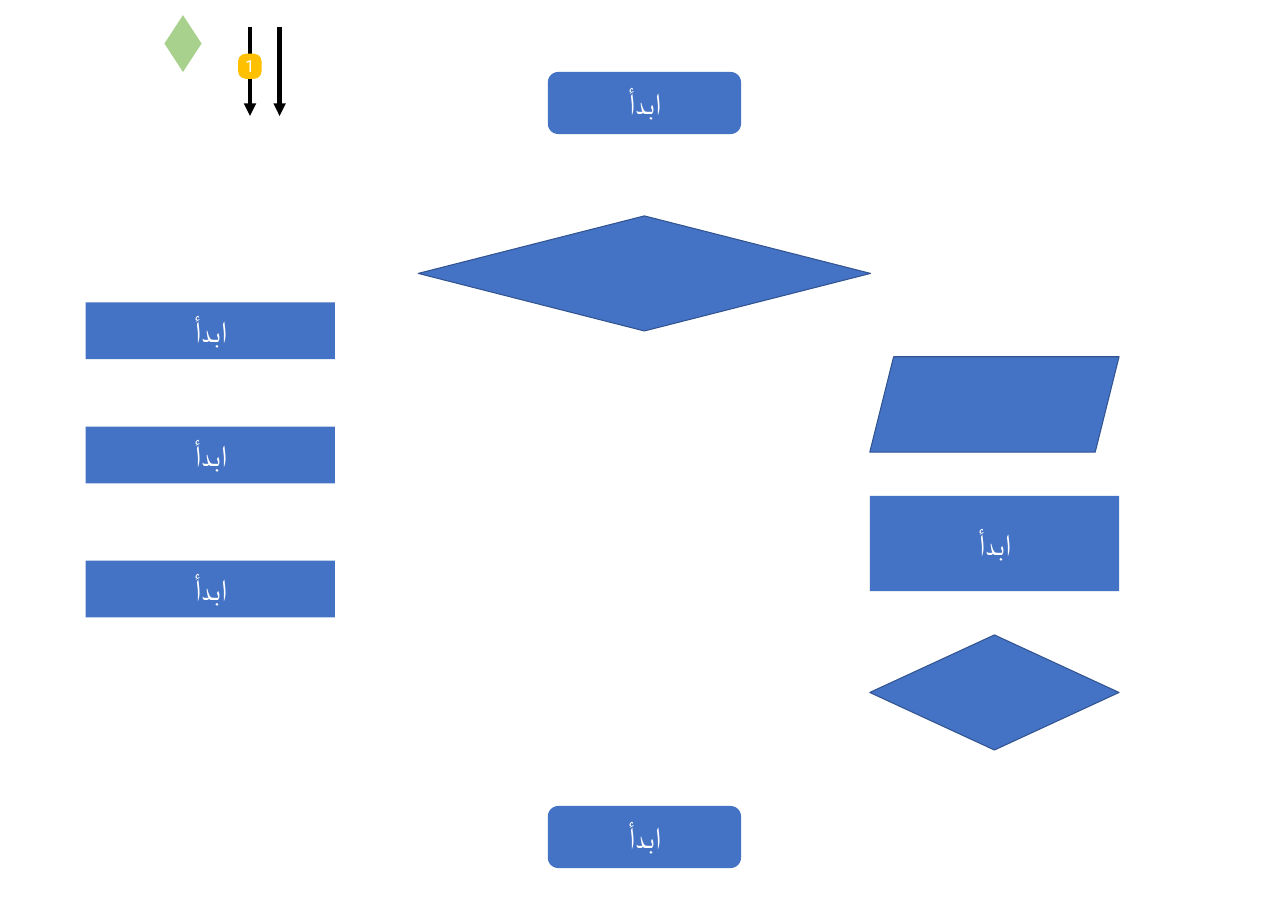
"""Build a flowchart template slide with Arabic step labels and a small symbol key."""
from pptx import Presentation
from pptx.dml.color import RGBColor
from pptx.enum.shapes import MSO_CONNECTOR, MSO_SHAPE
from pptx.enum.text import MSO_ANCHOR, PP_ALIGN
from pptx.oxml.ns import qn
from pptx.util import Pt
from lxml.etree import SubElement

COLORS = {
    "step": "4472C4",
    "outline": "325491",
    "key": "A9D18E",
    "badge": "FFC000",
    "arrow": "000000",
    "text": "FFFFFF",
}
FONT = "Roboto"
LABEL = "ابدأ"
SLIDE_WIDTH, SLIDE_HEIGHT = 1224, 864

CENTER_X, LEFT_X, RIGHT_X = 612.4, 199.8, 945
COLUMN_WIDTH = 236.9
DIAMOND_HEIGHT = 109.4

TERMINAL_TOPS = [68.4, 766.1]
TERMINAL_SIZE = (183.6, 59)
DECISION_TOP, DECISION_WIDTH = 205.2, 429.8
LEFT_STEP_TOPS = [287.3, 405.4, 532.8]
LEFT_STEP_HEIGHT = 54
RIGHT_TOP, RIGHT_GAP = 339.1, 41.5
RIGHT_STEPS = [
    (MSO_SHAPE.PARALLELOGRAM, 90.7, ""),
    (MSO_SHAPE.RECTANGLE, 90.7, LABEL),
    (MSO_SHAPE.DIAMOND, DIAMOND_HEIGHT, ""),
]
KEY_DIAMOND = (173.9, 14.4, 35.3, 54)
ARROW_XS = [237.6, 265.7]
ARROW_TOP, ARROW_BOTTOM = 25.9, 110.2
BADGE = (237.4, 51.1, 22.3, 23.8)


def write_text(shape, text, size=28, right_to_left=True, margin=7.2):
    frame = shape.text_frame
    frame.word_wrap = True
    frame.vertical_anchor = MSO_ANCHOR.MIDDLE
    frame.margin_left = frame.margin_right = Pt(margin)
    frame.margin_top = frame.margin_bottom = Pt(margin / 2)
    paragraph = frame.paragraphs[0]
    paragraph.alignment = PP_ALIGN.CENTER
    if right_to_left:
        paragraph._p.get_or_add_pPr().set("rtl", "1")
    run = paragraph.add_run()
    run.text = text
    run.font.size = Pt(size)
    run.font.color.rgb = RGBColor.from_string(COLORS["text"])
    run.font.name = FONT
    SubElement(run._r.get_or_add_rPr(), qn("a:cs"), typeface=FONT)


def add_symbol(slide, kind, center_x, top, width, height, fill="step", outline=None):
    shape = slide.shapes.add_shape(
        kind, Pt(center_x - width / 2), Pt(top), Pt(width), Pt(height)
    )
    shape.shadow.inherit = False
    shape.fill.solid()
    shape.fill.fore_color.rgb = RGBColor.from_string(COLORS[fill])
    if outline:
        shape.line.color.rgb = RGBColor.from_string(COLORS[outline])
        shape.line.width = Pt(1)
    else:
        shape.line.fill.background()
    return shape


def add_arrow(slide, x, top, bottom):
    connector = slide.shapes.add_connector(
        MSO_CONNECTOR.STRAIGHT, Pt(x), Pt(top), Pt(x), Pt(bottom)
    )
    connector.line.color.rgb = RGBColor.from_string(COLORS["arrow"])
    connector.line.width = Pt(4)
    SubElement(connector.line._get_or_add_ln(), qn("a:tailEnd"), type="triangle")
    SubElement(connector._element.spPr, qn("a:effectLst"))


def add_key(slide):
    add_symbol(slide, MSO_SHAPE.DIAMOND, *KEY_DIAMOND, fill="key")
    for x in ARROW_XS:
        add_arrow(slide, x, ARROW_TOP, ARROW_BOTTOM)
    badge = add_symbol(slide, MSO_SHAPE.ROUNDED_RECTANGLE, *BADGE, fill="badge")
    badge.adjustments[0] = 0.32
    write_text(badge, "1", size=16, right_to_left=False, margin=0)


def add_flowchart(slide):
    for top in TERMINAL_TOPS:
        terminal = add_symbol(
            slide, MSO_SHAPE.ROUNDED_RECTANGLE, CENTER_X, top, *TERMINAL_SIZE
        )
        write_text(terminal, LABEL)
    add_symbol(
        slide, MSO_SHAPE.DIAMOND, CENTER_X, DECISION_TOP,
        DECISION_WIDTH, DIAMOND_HEIGHT, outline="outline",
    )
    for top in LEFT_STEP_TOPS:
        step = add_symbol(
            slide, MSO_SHAPE.RECTANGLE, LEFT_X, top, COLUMN_WIDTH, LEFT_STEP_HEIGHT
        )
        write_text(step, LABEL)
    top = RIGHT_TOP
    for kind, height, text in RIGHT_STEPS:
        outline = None if text else "outline"
        step = add_symbol(
            slide, kind, RIGHT_X, top, COLUMN_WIDTH, height, outline=outline
        )
        if text:
            write_text(step, text)
        top += height + RIGHT_GAP


def main():
    presentation = Presentation()
    presentation.slide_width = Pt(SLIDE_WIDTH)
    presentation.slide_height = Pt(SLIDE_HEIGHT)
    slide = presentation.slides.add_slide(presentation.slide_layouts[6])
    add_key(slide)
    add_flowchart(slide)
    presentation.save("out.pptx")


if __name__ == "__main__":
    main()
